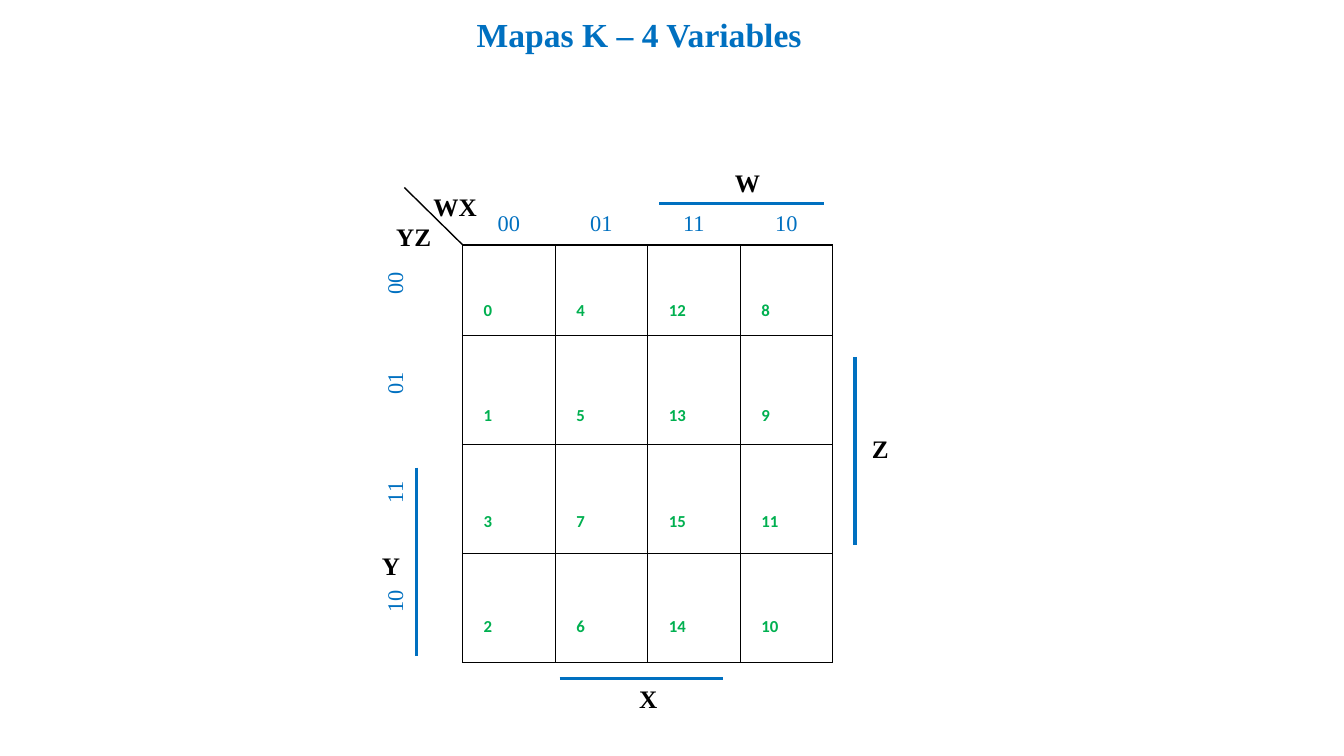
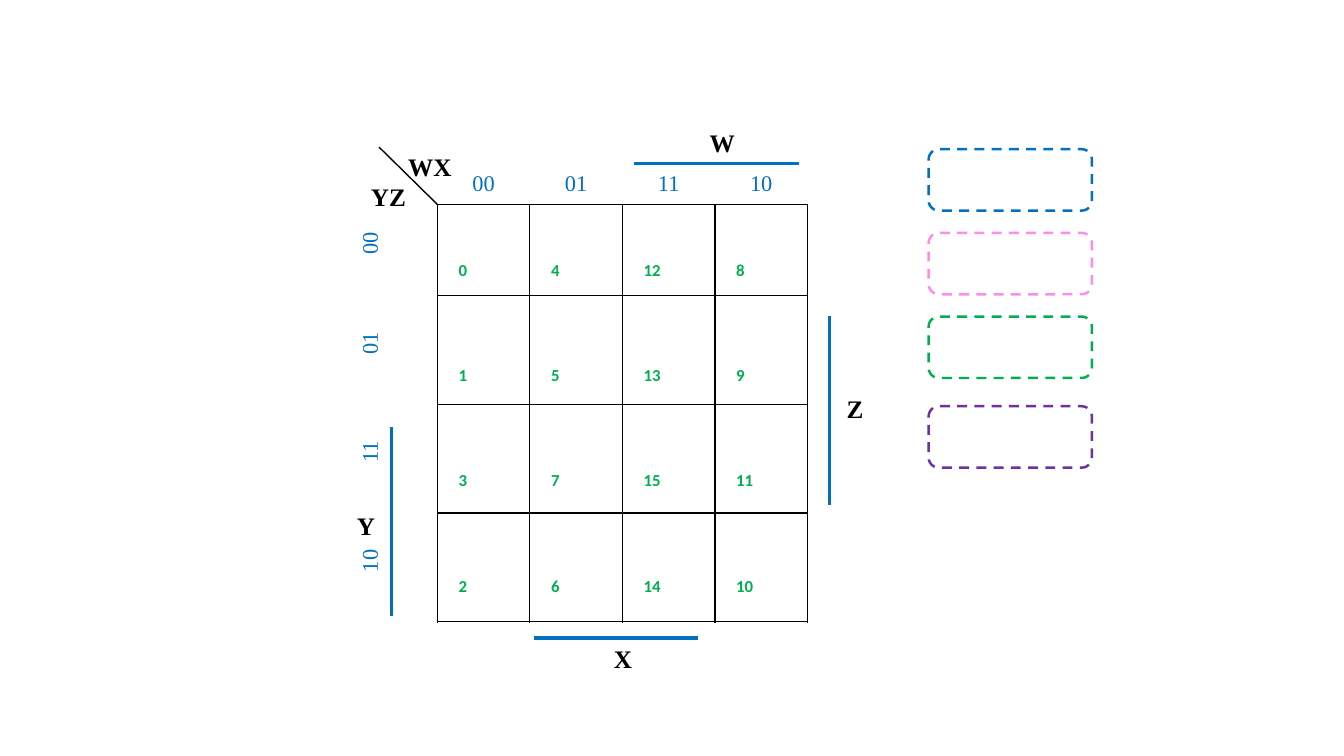
from lxml.etree import SubElement
from pptx import Presentation
from pptx.dml.color import RGBColor
from pptx.enum.dml import MSO_LINE
from pptx.enum.shapes import MSO_CONNECTOR, MSO_SHAPE
from pptx.enum.text import MSO_ANCHOR, MSO_AUTO_SIZE, PP_ALIGN
from pptx.oxml import parse_xml
from pptx.oxml.ns import nsdecls, qn
from pptx.util import Inches, Pt

BLUE = "0070C0"
GREEN = "00B050"
PINK = "FD8DEA"
PURPLE = "7030A0"
BLACK = "000000"
SERIF = "Times New Roman"
SANS = "Calibri"
NO_STYLE_NO_GRID = "{2D5ABB26-0587-4C30-8999-92F81FD0307C}"

GRAY_CODE = (0, 1, 3, 2)
COLUMN_WIDTHS = [4.59 / 5] * 5
GRID_ROWS = [0.55, 0.9, 1.08, 1.08, 1.08]
MINTERM_ROWS = [5.22 / 5] * 5
VARIABLE_LABELS = [
    ("WX", 0.53, -0.03, 0.64),
    ("YZ", 0.16, 0.27, 0.55),
    ("Y", 0.02, 3.53, 0.38),
    ("Z", 4.88, 2.37, 0.37),
    ("W", 3.52, -0.27, 0.45),
    ("X", 2.57, 4.85, 0.38),
]
VARIABLE_BARS = [
    (2.87, 0.14, 4.5, 0.14),
    (1.88, 4.85, 3.5, 4.85),
    (4.81, 1.66, 4.81, 3.53),
    (0.46, 2.76, 0.46, 4.63),
]
GROUP_BOXES = [(1.48, BLUE), (2.31, PINK), (3.14, GREEN), (4.03, PURPLE)]


def rgb(color):
    return RGBColor.from_string(color)


def format_text(text_frame, size, color, font_name, bold):
    for paragraph in text_frame.paragraphs:
        for run in paragraph.runs:
            run.font.size = Pt(size)
            run.font.name = font_name
            run.font.bold = bold
            run.font.color.rgb = rgb(color)


def add_label(slide, text, left, top, width, height=0.4, size=18, color=BLACK):
    box = slide.shapes.add_textbox(Inches(left), Inches(top), Inches(width), Inches(height))
    text_frame = box.text_frame
    text_frame.word_wrap = False
    text_frame.auto_size = MSO_AUTO_SIZE.SHAPE_TO_FIT_TEXT
    text_frame.text = text
    format_text(text_frame, size, color, SERIF, True)


def add_line(slide, start_x, start_y, end_x, end_y, color, width):
    line = slide.shapes.add_connector(
        MSO_CONNECTOR.STRAIGHT, Inches(start_x), Inches(start_y), Inches(end_x), Inches(end_y)
    )
    line.line.color.rgb = rgb(color)
    line.line.width = Pt(width)
    SubElement(line._element.spPr, qn("a:effectLst"))


def add_plain_table(slide, left, top, row_heights):
    frame = slide.shapes.add_table(
        len(row_heights), len(COLUMN_WIDTHS), Inches(left), Inches(top),
        Inches(sum(COLUMN_WIDTHS)), Inches(sum(row_heights)),
    )
    table = frame.table
    table.first_row = False
    table.horz_banding = False
    table._tbl.tblPr.find(qn("a:tableStyleId")).text = NO_STYLE_NO_GRID
    for column, width in zip(table.columns, COLUMN_WIDTHS):
        column.width = Inches(width)
    for row, height in zip(table.rows, row_heights):
        row.height = Inches(height)
    for cell in table.iter_cells():
        cell.fill.background()
    return table


def set_cell_text(cell, text, margins, size, color, font_name, bold=False):
    cell.text_frame.text = text
    cell.vertical_anchor = MSO_ANCHOR.BOTTOM
    cell.margin_left, cell.margin_top, cell.margin_right, cell.margin_bottom = map(Inches, margins)
    format_text(cell.text_frame, size, color, font_name, bold)


def set_borders(cell, sides):
    properties = cell._tc.get_or_add_tcPr()
    for index, side in enumerate(sides):
        border = parse_xml(
            f'<a:ln{side} {nsdecls("a")} w="{Pt(1)}"><a:solidFill>'
            f'<a:srgbClr val="{BLACK}"/></a:solidFill></a:ln{side}>'
        )
        properties.insert(index, border)


def add_minterms(slide, left, top):
    table = add_plain_table(slide, left, top, MINTERM_ROWS)
    for row, row_code in enumerate(GRAY_CODE, 1):
        for column, column_code in enumerate(GRAY_CODE, 1):
            minterm = str(4 * column_code + row_code)
            set_cell_text(table.cell(row, column), minterm, (0.25, 0.13, 0.25, 0.13),
                          12, GREEN, SANS, True)


def add_grid(slide, left, top):
    table = add_plain_table(slide, left, top, GRID_ROWS)
    for position, code in enumerate(GRAY_CODE, 1):
        column_header = table.cell(0, position)
        row_header = table.cell(position, 0)
        for cell, right_margin, side in ((column_header, 0.25, "B"), (row_header, 0.12, "R")):
            set_cell_text(cell, f"{code:02b}", (0.25, 0.13, right_margin, 0.08), 16, BLUE, SERIF)
            cell.text_frame.paragraphs[0].alignment = PP_ALIGN.CENTER
            set_borders(cell, side)
        row_header._tc.get_or_add_tcPr().set("vert", "vert270")
        for column in range(1, len(COLUMN_WIDTHS)):
            set_borders(table.cell(position, column), "LRTB")


def add_karnaugh_map(slide, left, top):
    add_minterms(slide, left - 0.04, top - 0.65)
    add_grid(slide, left, top)
    add_line(slide, left + 0.92, top + 0.55, left + 0.34, top - 0.02, BLACK, 1)
    for start_x, start_y, end_x, end_y in VARIABLE_BARS:
        add_line(slide, left + start_x, top + start_y, left + end_x, top + end_y, BLUE, 2.25)
    for text, offset_x, offset_y, width in VARIABLE_LABELS:
        add_label(slide, text, left + offset_x, top + offset_y, width)


def add_group_box(slide, top, color):
    box = slide.shapes.add_shape(
        MSO_SHAPE.ROUNDED_RECTANGLE, Inches(9.21), Inches(top), Inches(1.62), Inches(0.61)
    )
    box.shadow.inherit = False
    box.fill.background()
    box.line.color.rgb = rgb(color)
    box.line.width = Pt(1.75)
    box.line.dash_style = MSO_LINE.DASH


def main():
    presentation = Presentation()
    presentation.slide_width = Inches(13.33)
    presentation.slide_height = Inches(7.5)
    blank_layout = presentation.slide_layouts[6]

    title_slide = presentation.slides.add_slide(blank_layout)
    add_label(title_slide, "Mapas K – 4 Variables", 4.63, 0.09, 3.46, 0.5, 24, BLUE)
    add_karnaugh_map(title_slide, 3.67, 1.88)

    groups_slide = presentation.slides.add_slide(blank_layout)
    for top, color in GROUP_BOXES:
        add_group_box(groups_slide, top, color)
    add_karnaugh_map(groups_slide, 3.42, 1.48)

    presentation.save("out.pptx")


if __name__ == "__main__":
    main()
